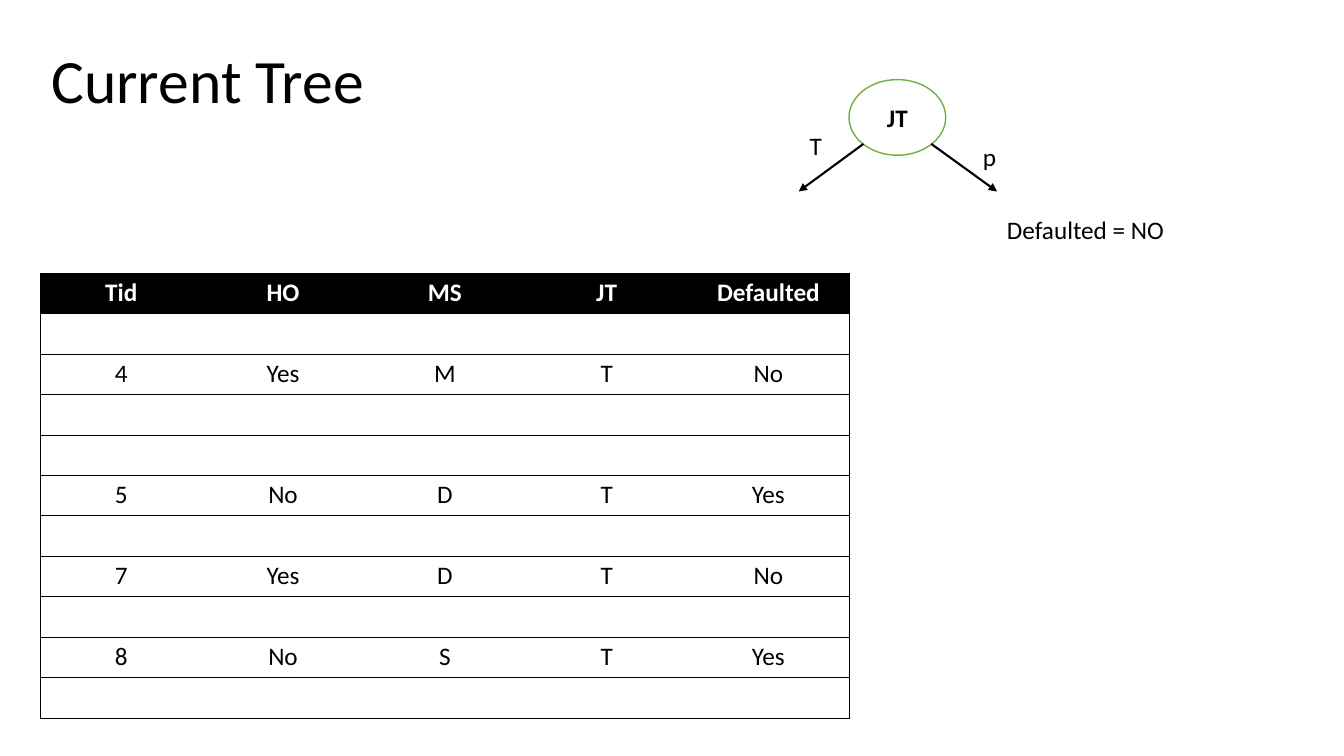
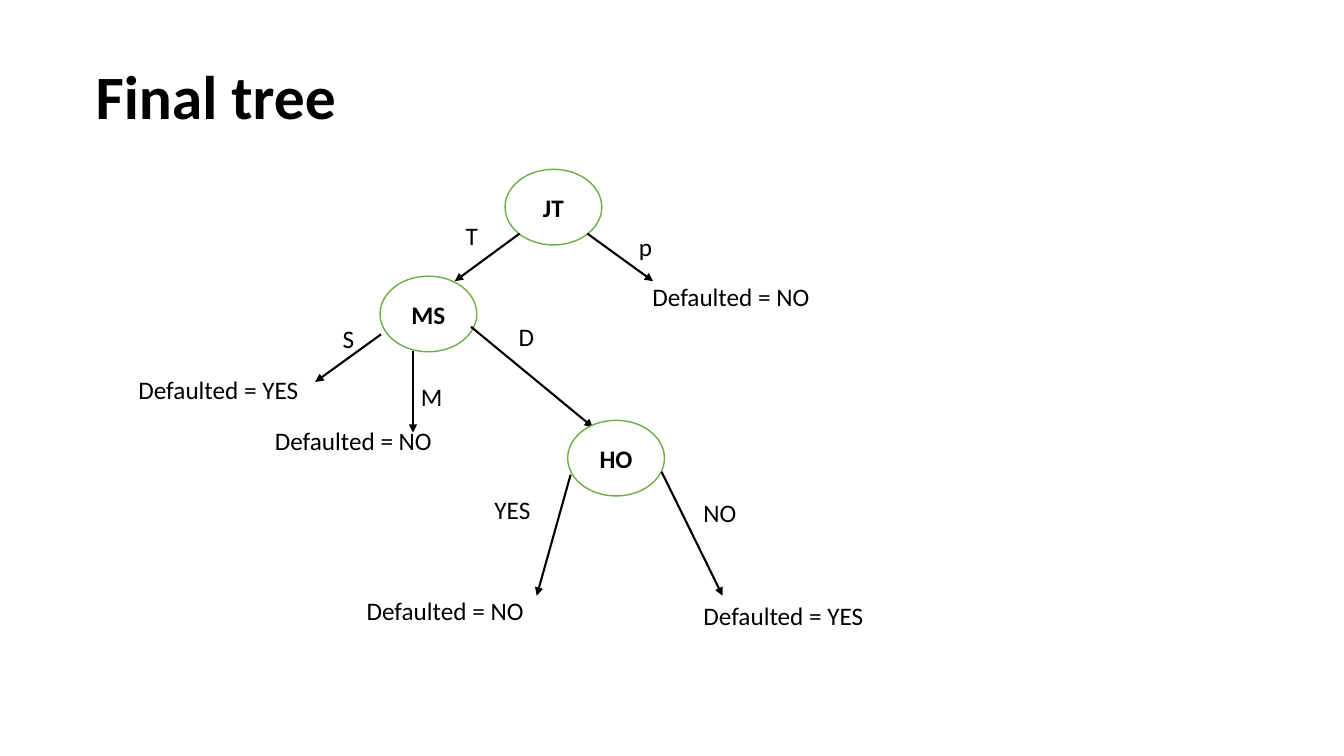
from pptx import Presentation, util as u
from pptx.dml.color import RGBColor
from pptx.enum import shapes, text
from pptx.oxml import parse_xml
from pptx.oxml.ns import nsdecls, qn
from lxml import etree

INK = {"text": "000000", "paper": "FFFFFF", "ring": "70AD47"}
FONT = "Calibri"
WIDE, HIGH = 13.33, 7.5
NODE = (7.2, 10)
HEAD = ["Tid", "HO", "MS", "JT", "Defaulted"]
ROWS = [[], ["4", "Yes", "M", "T", "No"], [], [],
        ["5", "No", "D", "T", "Yes"], [],
        ["7", "Yes", "D", "T", "No"], [],
        ["8", "No", "S", "T", "Yes"], []]


def rgb(name):
    return RGBColor.from_string(INK[name])


def place(left, top, *size):
    spans = (WIDE, HIGH) * 2
    return [u.Inches(part * span / 100)
            for part, span in zip((left, top, *size), spans)]


def style(para, size=18, bold=False, color="text", align=None):
    font = para.font
    font.name, font.size, font.bold = FONT, u.Pt(size), bold
    font.color.rgb = rgb(color)
    para.alignment = align


def write(slide, words, box, **look):
    frame = slide.shapes.add_textbox(*place(*box)).text_frame
    frame.word_wrap = True
    frame.text = words
    style(frame.paragraphs[0], **look)
    return frame


def title(slide, words, left, top, bold=False):
    frame = write(slide, words, (left, top, 70, 22), size=44, bold=bold)
    frame.vertical_anchor = text.MSO_ANCHOR.MIDDLE
    frame.paragraphs[0].line_spacing = 0.9


def arrow(slide, start, end):
    line = slide.shapes.add_connector(
        shapes.MSO_CONNECTOR.STRAIGHT, *place(*start), *place(*end))
    line.line.color.rgb = rgb("text")
    line.line.width = u.Pt(1.5)
    tip = etree.SubElement(line.line._get_or_add_ln(), qn("a:tailEnd"))
    tip.set("type", "triangle")
    etree.SubElement(line._element.spPr, qn("a:effectLst"))


def node(slide, name, left, top, edges):
    def spot(across, down):
        return left + across * NODE[0], top + down * NODE[1]

    ring = slide.shapes.add_shape(
        shapes.MSO_SHAPE.FLOWCHART_CONNECTOR, *place(left, top, *NODE))
    ring.shadow.inherit = False
    ring.fill.solid()
    ring.fill.fore_color.rgb = rgb("paper")
    ring.line.color.rgb = rgb("ring")
    ring.line.width = u.Pt(1)
    frame = ring.text_frame
    frame.text = name
    frame.vertical_anchor = text.MSO_ANCHOR.MIDDLE
    style(frame.paragraphs[0], bold=True, align=text.PP_ALIGN.CENTER)
    for start, end, label, where, leaf, under in edges:
        arrow(slide, spot(*start), spot(*end))
        write(slide, label, (*spot(*where), 6, 5.33))
        if leaf:
            write(slide, "Defaulted = " + leaf, (*spot(*under), 15, 5.33))


def root(slide, left, top, under):
    node(slide, "JT", left, top, [
        ((0.15, 0.85), (-0.52, 1.48), "T", (-0.51, 0.61), None, None),
        ((0.85, 0.85), (1.53, 1.48), "p", (1.28, 0.75), "NO", under)])


def border(cell, sides):
    props = cell._tc.get_or_add_tcPr()
    for spot, side in enumerate("LRTB"):
        fill = (f'<a:solidFill><a:srgbClr val="{INK["text"]}"/></a:solidFill>'
                if side in sides else "<a:noFill/>")
        props.insert(spot, parse_xml(
            f'<a:ln{side} {nsdecls("a")} w="6350">{fill}</a:ln{side}>'))


def table(slide, left, top, width, step):
    rows, cols = len(ROWS) + 1, len(HEAD)
    grid = slide.shapes.add_table(
        rows, cols, *place(left, top, width, step * rows)).table
    grid.horz_banding = False
    for r, words in enumerate([HEAD] + ROWS):
        for c in range(cols):
            cell = grid.cell(r, c)
            cell.margin_top = cell.margin_bottom = u.Inches(0.04)
            cell.fill.solid()
            cell.fill.fore_color.rgb = rgb("paper" if r else "text")
            cell.text = words[c] if words else ""
            style(cell.text_frame.paragraphs[0], bold=not r,
                  color="text" if r else "paper",
                  align=text.PP_ALIGN.CENTER)
            border(cell, "TB" + "L" * (c == 0) + "R" * (c == cols - 1))
    grid.cell(1, 0).merge(grid.cell(1, cols - 1))
    border_row = grid.cell(1, 0)._tc.tcPr
    for line in border_row.findall(qn("a:lnR")):
        border_row.remove(line)
    for line in border_row.xpath("a:lnL|a:lnT|a:lnB"):
        border_row.remove(line)
    border(grid.cell(1, 0), "LRTB")


def current(slide):
    title(slide, "Current Tree", 3.08, 0)
    root(slide, 63.17, 10.53, (1.53, 1.71))
    table(slide, 3, 36.13, 60.2, 5.35)


def final(slide):
    title(slide, "Final tree", 6.38, 2.13, bold=True)
    root(slide, 37.58, 22.4, (1.42, 1.41))
    node(slide, "MS", 28.28, 36.53, [
        ((0.01, 0.77), (-0.67, 1.4), "S", (-0.49, 0.56), "YES", (-2.6, 1.23)),
        ((0.34, 0.99), (0.34, 2.07), "M", (0.32, 1.32), "NO", (-1.19, 1.91)),
        ((0.94, 0.67), (2.2, 2), "D", (1.33, 0.53), None, None)])
    node(slide, "HO", 42.24, 55.6, [
        ((0.03, 0.72), (-0.32, 2.32), "YES", (-0.86, 0.91), "NO", (-2.18, 2.25)),
        ((0.97, 0.68), (1.6, 2.32), "NO", (1.3, 0.95), "YES", (1.3, 2.31))])


def main():
    deck = Presentation()
    deck.slide_width, deck.slide_height = u.Inches(WIDE), u.Inches(HIGH)
    for build in (current, final):
        build(deck.slides.add_slide(deck.slide_layouts[6]))
    deck.save("out.pptx")


if __name__ == "__main__":
    main()
